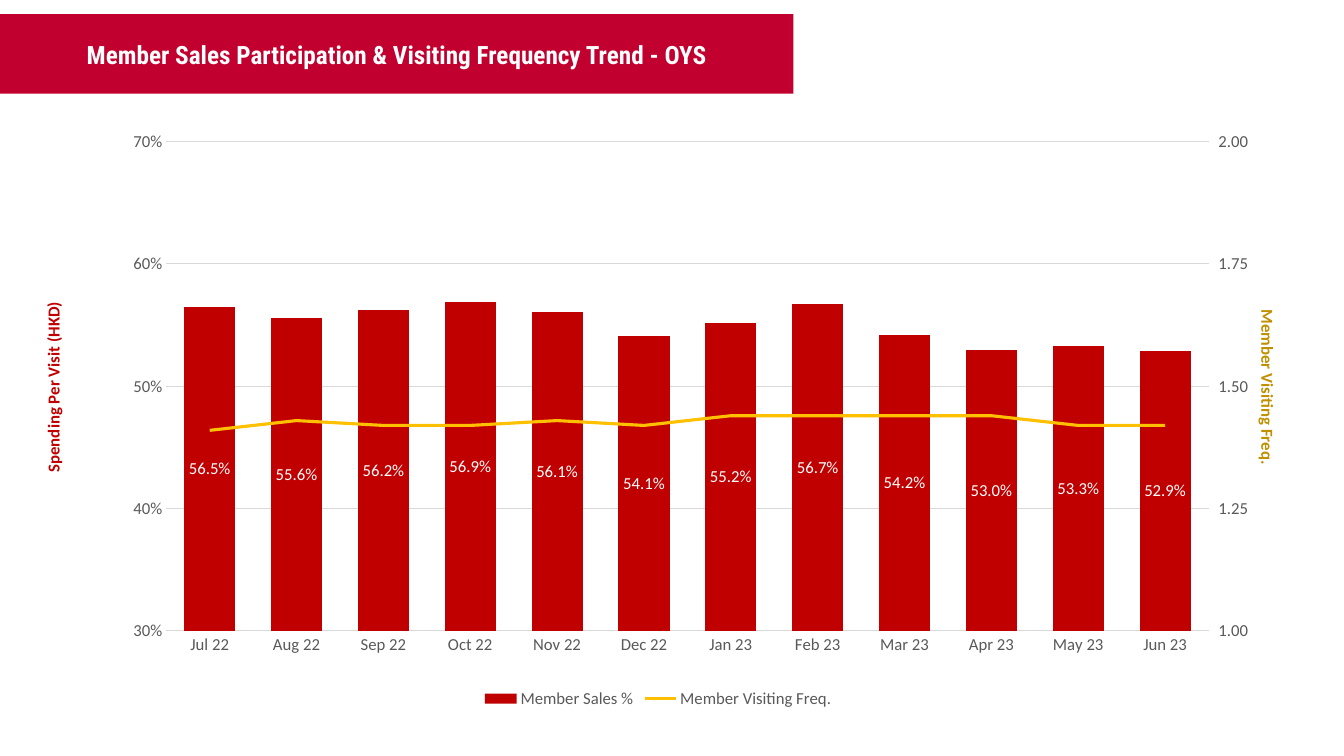
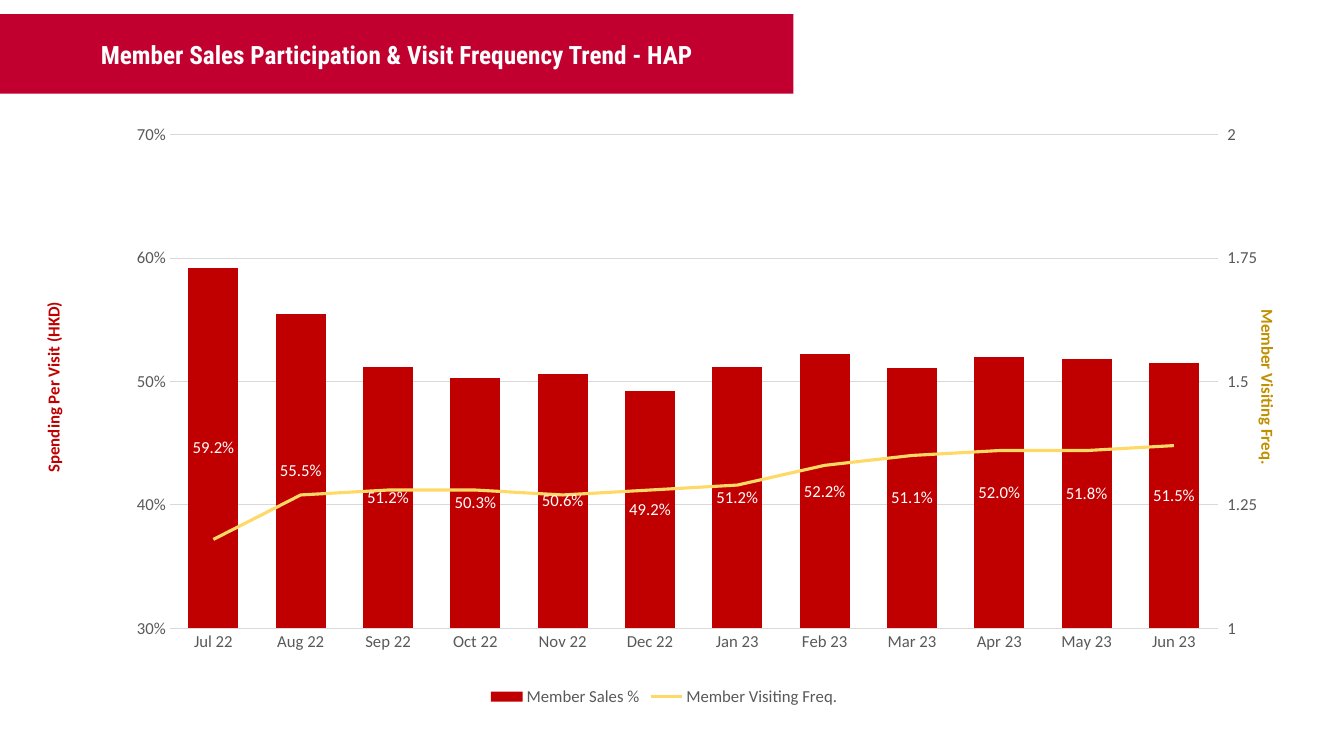
from pptx import Presentation
from pptx import oxml
from pptx.chart import data as chart_data
from pptx.dml.color import RGBColor
from pptx.enum import chart as chart_enum, shapes, text
from pptx.oxml import ns
from pptx.util import Inches, Pt

COLOURS = {
    "white": "FFFFFF",
    "band": "C1002F",
    "sales": "C00000",
    "frequency": "BF9000",
    "gold": "FFC000",
    "pale gold": "FFD966",
    "label": "595959",
    "grid": "D9D9D9",
}
MONTHS = ["Jul 22", "Aug 22", "Sep 22", "Oct 22", "Nov 22", "Dec 22",
          "Jan 23", "Feb 23", "Mar 23", "Apr 23", "May 23", "Jun 23"]
SLIDES = [
    {
        "title": "Member Sales Participation & Visiting Frequency Trend - OYS",
        "box": (0.72, 1.29, 11.66, 5.78),
        "gap": 70,
        "line": "gold",
        "right_format": "0.00",
        "sales": [0.565, 0.556, 0.562, 0.569, 0.561, 0.541,
                  0.552, 0.567, 0.542, 0.53, 0.533, 0.529],
        "frequency": [1.41, 1.43, 1.42, 1.42, 1.43, 1.42,
                      1.44, 1.44, 1.44, 1.44, 1.42, 1.42],
    },
    {
        "title": "Member Sales Participation & Visit Frequency Trend - HAP",
        "box": (0.75, 1.22, 11.72, 5.83),
        "gap": 75,
        "line": "pale gold",
        "right_format": "General",
        "sales": [0.592, 0.555, 0.512, 0.503, 0.506, 0.492,
                  0.512, 0.522, 0.511, 0.52, 0.518, 0.515],
        "frequency": [1.18, 1.27, 1.28, 1.28, 1.27, 1.28,
                      1.29, 1.33, 1.35, 1.36, 1.36, 1.37],
    },
]

LAYOUT_XML = """<c:layout {ns}><c:manualLayout>
<c:layoutTarget val="inner"/><c:xMode val="edge"/><c:yMode val="edge"/>
<c:x val="0.08"/><c:y val="0.02"/><c:w val="0.89"/><c:h val="0.84"/>
</c:manualLayout></c:layout>"""
LINE_XML = """<c:lineChart {ns}><c:grouping val="stacked"/><c:varyColors val="0"/>
<c:marker val="1"/><c:axId val="5001"/><c:axId val="5002"/></c:lineChart>"""
RIGHT_AXIS_XML = """<c:valAx {ns}><c:axId val="5002"/>
<c:scaling><c:orientation val="minMax"/><c:max val="2"/><c:min val="1"/></c:scaling>
<c:delete val="0"/><c:axPos val="r"/>
<c:numFmt formatCode="{number_format}" sourceLinked="0"/>
<c:majorTickMark val="out"/><c:minorTickMark val="none"/><c:tickLblPos val="nextTo"/>
<c:spPr><a:ln><a:noFill/></a:ln></c:spPr>
<c:crossAx val="5001"/><c:crosses val="max"/><c:crossBetween val="between"/>
<c:majorUnit val="0.25"/></c:valAx>"""
HIDDEN_AXIS_XML = """<c:catAx {ns}><c:axId val="5001"/>
<c:scaling><c:orientation val="minMax"/></c:scaling>
<c:delete val="1"/><c:axPos val="b"/><c:crossAx val="5002"/></c:catAx>"""


def chart_element(template, **values):
    return oxml.parse_xml(template.format(ns=ns.nsdecls("c", "a"), **values))


class Deck:
    def __init__(self):
        self.presentation = Presentation()
        self.presentation.slide_width = Inches(13.33)
        self.presentation.slide_height = Inches(7.5)
        self.slide = None

    def add_slide(self):
        self.slide = self.presentation.slides.add_slide(self.presentation.slide_layouts[6])

    def style_font(self, font, colour, size=12, name="Calibri", bold=False):
        font.name, font.size, font.bold = name, Pt(size), bold
        font.color.rgb = RGBColor.from_string(COLOURS[colour])

    def fill(self, fill, colour):
        fill.solid()
        fill.fore_color.rgb = RGBColor.from_string(COLOURS[colour])

    def line(self, line, colour, width):
        self.fill(line.fill, colour)
        line.width = Pt(width)

    def title_band(self, title):
        band = self.slide.shapes.add_shape(
            shapes.MSO_SHAPE.RECTANGLE, 0, Inches(0.14), Inches(7.87), Inches(0.79))
        band.shadow.inherit = False
        self.fill(band.fill, "band")
        band.line.fill.background()
        band.text_frame.vertical_anchor = text.MSO_ANCHOR.MIDDLE
        paragraph = band.text_frame.paragraphs[0]
        paragraph.text = title
        paragraph.alignment = text.PP_ALIGN.CENTER
        self.style_font(paragraph.font, "white", 18, "Roboto Condensed", True)

    def side_title(self, caption, left, rotation, colour):
        box = self.slide.shapes.add_textbox(
            Inches(left), Inches(3.69), Inches(5.35), Inches(0.3))
        box.rotation = rotation
        box.text_frame.word_wrap = True
        box.text_frame.auto_size = text.MSO_AUTO_SIZE.SHAPE_TO_FIT_TEXT
        paragraph = box.text_frame.paragraphs[0]
        paragraph.text = caption
        paragraph.alignment = text.PP_ALIGN.CENTER
        self.style_font(paragraph.font, colour, bold=True)

    def trend_chart(self, box, gap, line, right_format, sales, frequency):
        """Columns on the left axis, with a line on the right axis."""
        data = chart_data.CategoryChartData()
        data.categories = MONTHS
        data.add_series("Member Sales %", sales, "0.0%")
        data.add_series("Member Visiting Freq.", frequency, "0.00")
        chart = self.slide.shapes.add_chart(
            chart_enum.XL_CHART_TYPE.COLUMN_STACKED, *map(Inches, box), data).chart
        chart.has_title = False
        self.style_font(chart.font, "label")
        chart.has_legend = True
        chart.legend.position = chart_enum.XL_LEGEND_POSITION.BOTTOM
        chart.legend.include_in_layout = False
        self.left_axes(chart)
        self.move_line_to_right_axis(chart, right_format)

        columns, lines = chart.plots
        columns.gap_width, columns.overlap = gap, 100
        columns.vary_by_categories = False
        self.fill(columns.series[0].format.fill, "sales")
        labels = columns.series[0].data_labels
        labels.show_value = True
        labels.number_format, labels.number_format_is_linked = "0.0%", False
        labels.position = chart_enum.XL_LABEL_POSITION.CENTER
        self.style_font(labels.font, "white")

        trend = lines.series[0]
        trend.smooth = False
        trend.marker.style = chart_enum.XL_MARKER_STYLE.NONE
        self.line(trend.format.line, line, 2.25)

    def left_axes(self, chart):
        months, share = chart.category_axis, chart.value_axis
        for axis in (months, share):
            axis.major_tick_mark = chart_enum.XL_TICK_MARK.NONE
        self.line(months.format.line, "grid", 0.75)
        share.minimum_scale, share.maximum_scale, share.major_unit = 0.3, 0.7, 0.1
        share.format.line.fill.background()
        self.line(share.major_gridlines.format.line, "grid", 0.75)
        share.tick_labels.number_format = "0%"
        share.tick_labels.number_format_is_linked = False

    def move_line_to_right_axis(self, chart, right_format):
        columns = chart.plots[0]
        series = columns.series[1]._element
        for unused in series.findall(ns.qn("c:invertIfNegative")):
            series.remove(unused)
        line_chart = chart_element(LINE_XML)
        line_chart.insert(2, series)
        columns._element.addnext(line_chart)

        left_axis = chart.value_axis._element
        left_axis.addnext(chart_element(HIDDEN_AXIS_XML))
        left_axis.addnext(chart_element(RIGHT_AXIS_XML, number_format=right_format))
        plot_area = left_axis.getparent()
        for layout in plot_area.findall(ns.qn("c:layout")):
            plot_area.remove(layout)
        plot_area.insert(0, chart_element(LAYOUT_XML))


def main():
    deck = Deck()
    for content in SLIDES:
        deck.add_slide()
        deck.title_band(content["title"])
        deck.trend_chart(**{key: value for key, value in content.items() if key != "title"})
        deck.side_title("Member Visiting Freq.", 9.9, 90, "frequency")
        deck.side_title("Spending Per Visit (HKD)", -2.15, 270, "sales")
    deck.presentation.save("out.pptx")


if __name__ == "__main__":
    main()
